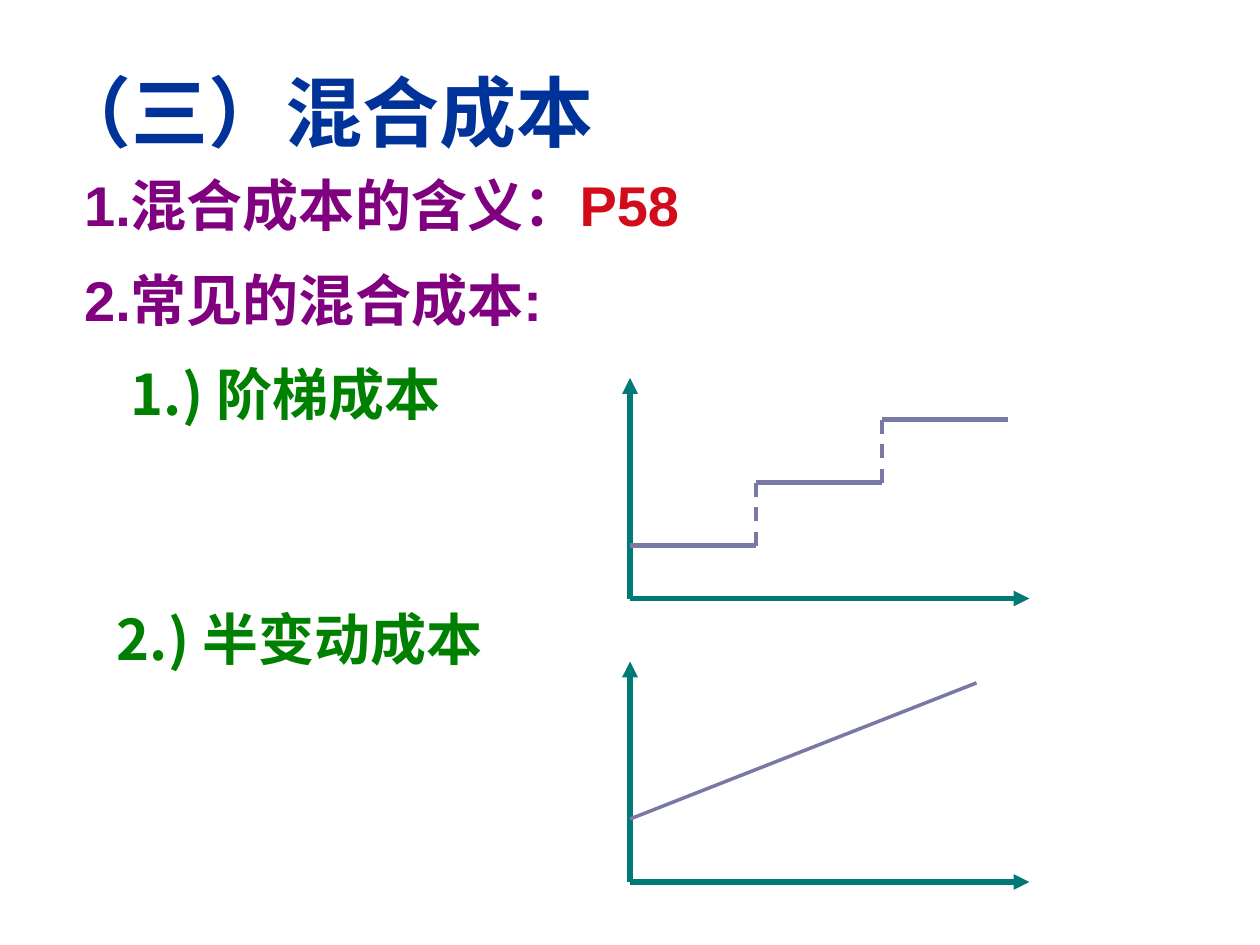
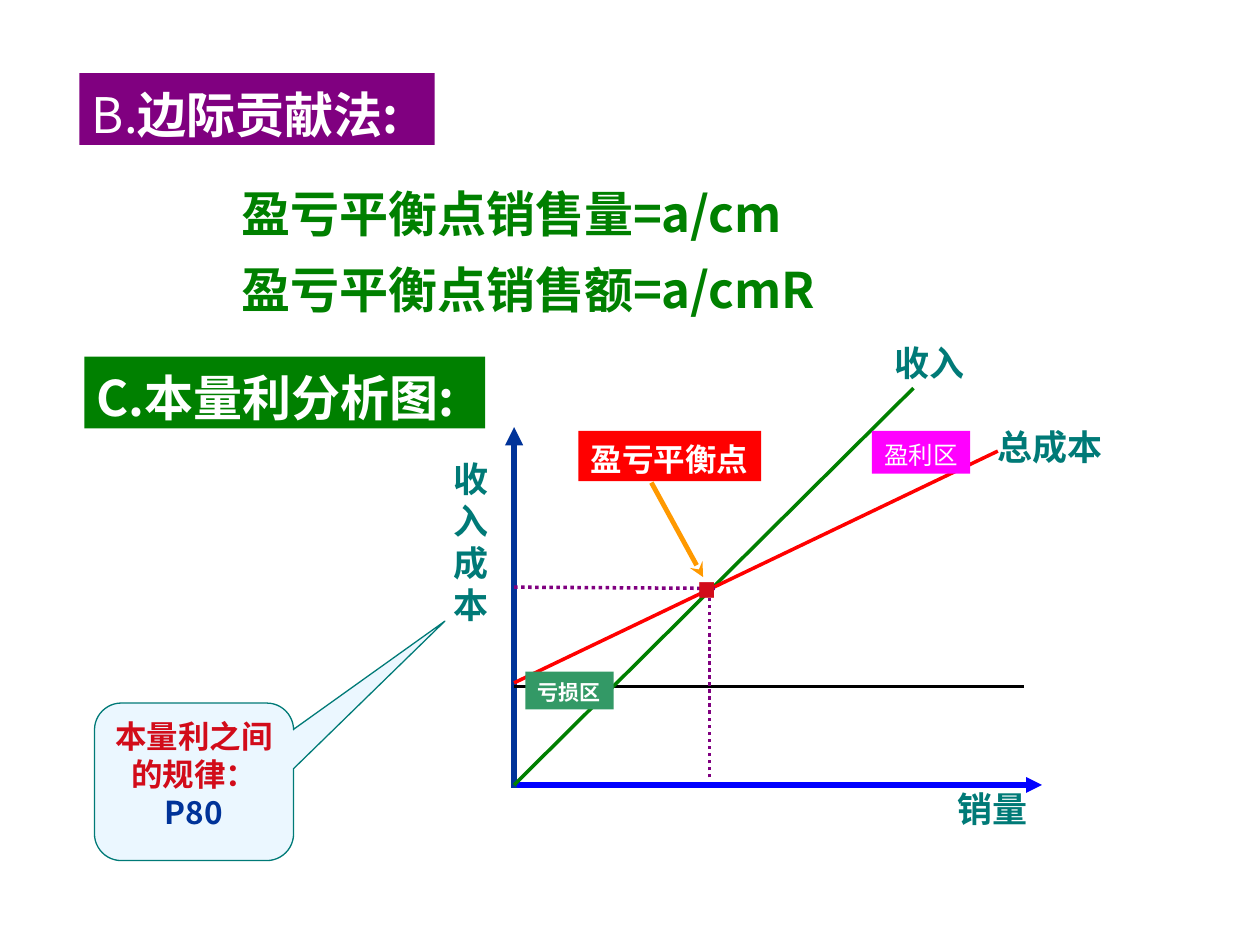
from lxml import etree
from pptx import Presentation
from pptx.dml.color import RGBColor
from pptx.enum import dml, shapes, text
from pptx.oxml.ns import qn
from pptx.util import Inches, Pt

NAVY = RGBColor(0x00, 0x33, 0x99)
BLUE = RGBColor(0x00, 0x00, 0xFF)
TEAL = RGBColor(0x00, 0x7A, 0x77)
SLATE = RGBColor(0x79, 0x79, 0xA5)
PURPLE = RGBColor(0x80, 0x00, 0x80)
GREEN = RGBColor(0x00, 0x80, 0x00)
SEA_GREEN = RGBColor(0x33, 0x99, 0x66)
CRIMSON = RGBColor(0xD2, 0x0C, 0x1A)
RED = RGBColor(0xFF, 0x00, 0x00)
ORANGE = RGBColor(0xFF, 0x99, 0x00)
MAGENTA = RGBColor(0xFF, 0x00, 0xFF)
PALE_BLUE = RGBColor(0xEB, 0xF7, 0xFF)
BLACK = RGBColor(0x00, 0x00, 0x00)
WHITE = RGBColor(0xFF, 0xFF, 0xFF)

ARIAL = "Arial"
TIMES = "Times New Roman"
SC = "Noto Sans CJK SC"
JP = "Noto Sans CJK JP"

DASH = dml.MSO_LINE.DASH
DOT = dml.MSO_LINE.ROUND_DOT  # written as sysDot


class Deck:
    """Holds the text style and the slide being filled."""

    leading = 1.3

    def __init__(self):
        self.prs = Presentation()
        self.prs.slide_width, self.prs.slide_height = Inches(10), Inches(7.5)
        self.slide = None

    def new_slide(self):
        self.slide = self.prs.slides.add_slide(self.prs.slide_layouts[5])

    def frame(self, shape, wrap):
        frame = shape.text_frame
        frame.auto_size = text.MSO_AUTO_SIZE.NONE
        frame.word_wrap = wrap
        frame.vertical_anchor = text.MSO_ANCHOR.TOP
        frame.margin_left = frame.margin_right = Inches(0.1)
        frame.margin_top = frame.margin_bottom = Inches(0.05)
        return frame

    def add_runs(self, paragraph, runs, size, leading=None, indent=0,
                 before=0, align=text.PP_ALIGN.LEFT):
        """Fill a paragraph with (words, font, colour, bold) runs."""
        paragraph.alignment = align
        paragraph.space_before = Pt(before)
        paragraph.line_spacing = Pt(round(size * (leading or self.leading), 1))
        properties = paragraph._p.get_or_add_pPr()
        properties.set("marL", str(Inches(indent)))
        properties.set("indent", "0")
        for words, face, colour, bold in runs:
            run = paragraph.add_run()
            run.text = words
            run.font.size, run.font.bold = Pt(size), bold
            run.font.name = face
            run.font.color.rgb = colour
            east_asian = etree.SubElement(run._r.get_or_add_rPr(), qn("a:ea"))
            east_asian.set("typeface", JP if face == JP else SC)

    def title(self, box, runs, size, fill=None):
        title = self.slide.shapes.title
        title.left, title.top, title.width, title.height = map(Inches, box)
        if fill is not None:
            title.fill.solid()
            title.fill.fore_color.rgb = fill
        frame = self.frame(title, wrap=False)
        self.add_runs(frame.paragraphs[0], runs, size)

    def label(self, box, runs, size, **style):
        frame = self.textbox(box)
        self.add_runs(frame.paragraphs[0], runs, size, **style)

    def textbox(self, box, wrap=True):
        shape = self.slide.shapes.add_textbox(*map(Inches, box))
        return self.frame(shape, wrap)

    def panel(self, box, fill, runs, size, kind=shapes.MSO_SHAPE.RECTANGLE,
              outline=None, wrap=False, **style):
        panel = self.slide.shapes.add_shape(kind, *map(Inches, box))
        panel.shadow.inherit = False
        panel.fill.solid()
        panel.fill.fore_color.rgb = fill
        if outline is None:
            panel.line.fill.background()
        else:
            panel.line.color.rgb = outline
            panel.line.width = Pt(0.75)
        frame = self.frame(panel, wrap)
        self.add_runs(frame.paragraphs[0], runs, size, **style)
        return panel

    def line(self, start, end, colour, width, dash=None, arrow=None):
        line = self.slide.shapes.add_connector(
            shapes.MSO_CONNECTOR.STRAIGHT, *map(Inches, start + end))
        line.line.color.rgb = colour
        line.line.width = Pt(width)
        if dash is not None:
            line.line.dash_style = dash
        if arrow:
            outline = line.line._get_or_add_ln()
            etree.SubElement(outline, qn("a:tailEnd")).set("type", arrow)
        etree.SubElement(line._element.spPr, qn("a:effectLst"))


def axes(deck, left, base):
    deck.line((left, base), (left + 3.17, base), TEAL, 3, arrow="triangle")
    deck.line((left, base), (left, base - 1.75), TEAL, 3, arrow="triangle")


def mixed_cost_slide(deck):
    deck.new_slide()
    deck.title((0.33, 0.4, 9.34, 0.85),
               [("（三）混合成本", ARIAL, NAVY, True)], 44)

    items = [
        ([("1.混合成本的含义：", ARIAL, PURPLE, True),
          ("P58", ARIAL, CRIMSON, True)], 0, 0),
        ([("2.常见的混合成本:", ARIAL, PURPLE, True)], 0, 12.5),
        ([("1.) 阶梯成本", JP, GREEN, True)], 0.37, 12.5),
        ([("2.) 半变动成本", JP, GREEN, True)], 0.26, 98),
    ]
    outline = deck.textbox((0.57, 1.26, 9.1, 4.33))
    for number, (runs, indent, before) in enumerate(items):
        paragraph = outline.add_paragraph() if number else outline.paragraphs[0]
        deck.add_runs(paragraph, runs, 32, indent=indent, before=before)

    left = 5
    axes(deck, left, 4.75)
    steps = [(left + i, 4.33 - 0.5 * i) for i in range(3)]
    for x, y in steps:
        deck.line((x, y), (x + 1, y), SLATE, 3)
    for x, y in steps[1:]:
        deck.line((x, y), (x, y + 0.5), SLATE, 2, DASH)

    axes(deck, left, 7)
    deck.line((left, 6.5), (7.75, 5.42), SLATE, 2)


def break_even_slide(deck):
    deck.new_slide()
    deck.title((0.63, 0.58, 2.82, 0.57),
               [("B.", SC, WHITE, False), ("边际贡献法:", SC, WHITE, True)],
               28, PURPLE)

    formulas = deck.textbox((1.82, 1.27, 5.52, 1.32))
    for number, (quantity, ratio) in enumerate(
            [("盈亏平衡点销售量", "=a/cm"), ("盈亏平衡点销售额", "=a/cmR")]):
        paragraph = formulas.add_paragraph() if number else formulas.paragraphs[0]
        deck.add_runs(paragraph, [(quantity, SC, GREEN, True),
                                  (ratio, JP, GREEN, True)], 28, leading=1.55)

    heading = deck.panel((0.67, 2.83, 3.18, 0.57), GREEN,
                         [("C.本量利分析图:", SC, WHITE, True)], 28, wrap=True)
    heading.text_frame.margin_right = 0

    left, base = 4.08, 6.23
    deck.line((left, base), (8.27, base), BLUE, 3, arrow="triangle")
    deck.line((left, 6.25), (left, 3.39), NAVY, 3.5, arrow="triangle")
    deck.line((left, 5.45), (8.13, 5.45), BLACK, 2)
    deck.line((left, base), (7.25, 3.08), GREEN, 2)
    deck.line((left, 5.42), (7.92, 3.58), RED, 2)

    for words, box, leading in [
        ("销量", (7.5, 6.17, 1.25, 0.44), None),
        ("收入成本", (3.5, 3.58, 0.5, 1.44), 1.2),
        ("收入", (7, 2.63, 0.92, 0.44), None),
        ("总成本", (7.82, 3.3, 1.42, 0.44), None),
    ]:
        deck.label(box, [(words, TIMES, TEAL, True)], 20, leading=leading)

    deck.line((5.63, 6.17), (5.63, 4.67), PURPLE, 2, DOT)
    deck.line((left, 4.66), (5.68, 4.67), PURPLE, 2, DOT)
    deck.panel((4.59, 3.42, 1.45, 0.4), RED,
               [("盈亏平衡点", ARIAL, WHITE, True)], 18)
    deck.line((5.17, 3.83), (5.58, 4.58), ORANGE, 2.75, arrow="stealth")

    balance_point = deck.textbox((5.4, 4.08, 0.48, 1.1), wrap=False)
    dot = balance_point.paragraphs[0].add_run()
    dot.text = "·"
    dot.font.name, dot.font.size, dot.font.bold = ARIAL, Pt(60), True
    dot.font.color.rgb = CRIMSON
    etree.SubElement(dot._r.get_or_add_rPr(), qn("a:ea")).set("typeface", ARIAL)

    deck.panel((4.17, 5.33, 0.7, 0.3), SEA_GREEN,
               [("亏损区", ARIAL, WHITE, True)], 12)
    deck.panel((6.92, 3.42, 0.78, 0.34), MAGENTA,
               [("盈利区", ARIAL, WHITE, False)], 14)

    rule = deck.panel((0.75, 5.58, 1.58, 1.25), PALE_BLUE,
                      [("本量利之间的规律：", SC, CRIMSON, True),
                       ("P80", JP, NAVY, True)], 18,
                      kind=shapes.MSO_SHAPE.ROUNDED_RECTANGULAR_CALLOUT,
                      outline=TEAL, wrap=True, leading=1.2,
                      align=text.PP_ALIGN.CENTER)
    for index, value in enumerate((1.26, -1.02, 0.17)):
        rule.adjustments[index] = value
    rule.text_frame.margin_left = rule.text_frame.margin_right = Inches(0.08)


def main():
    deck = Deck()
    mixed_cost_slide(deck)
    break_even_slide(deck)
    deck.prs.save("out.pptx")


if __name__ == "__main__":
    main()
